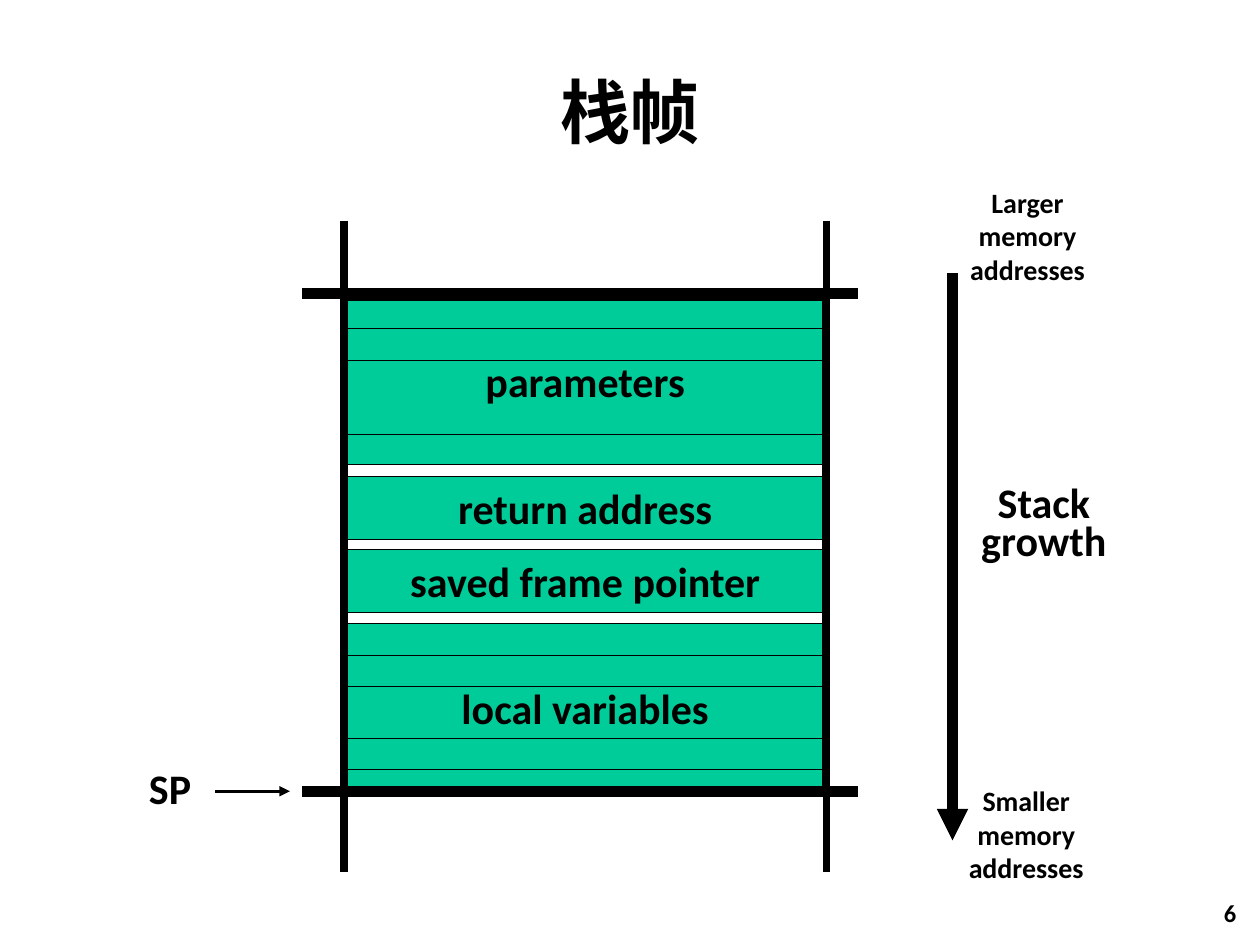
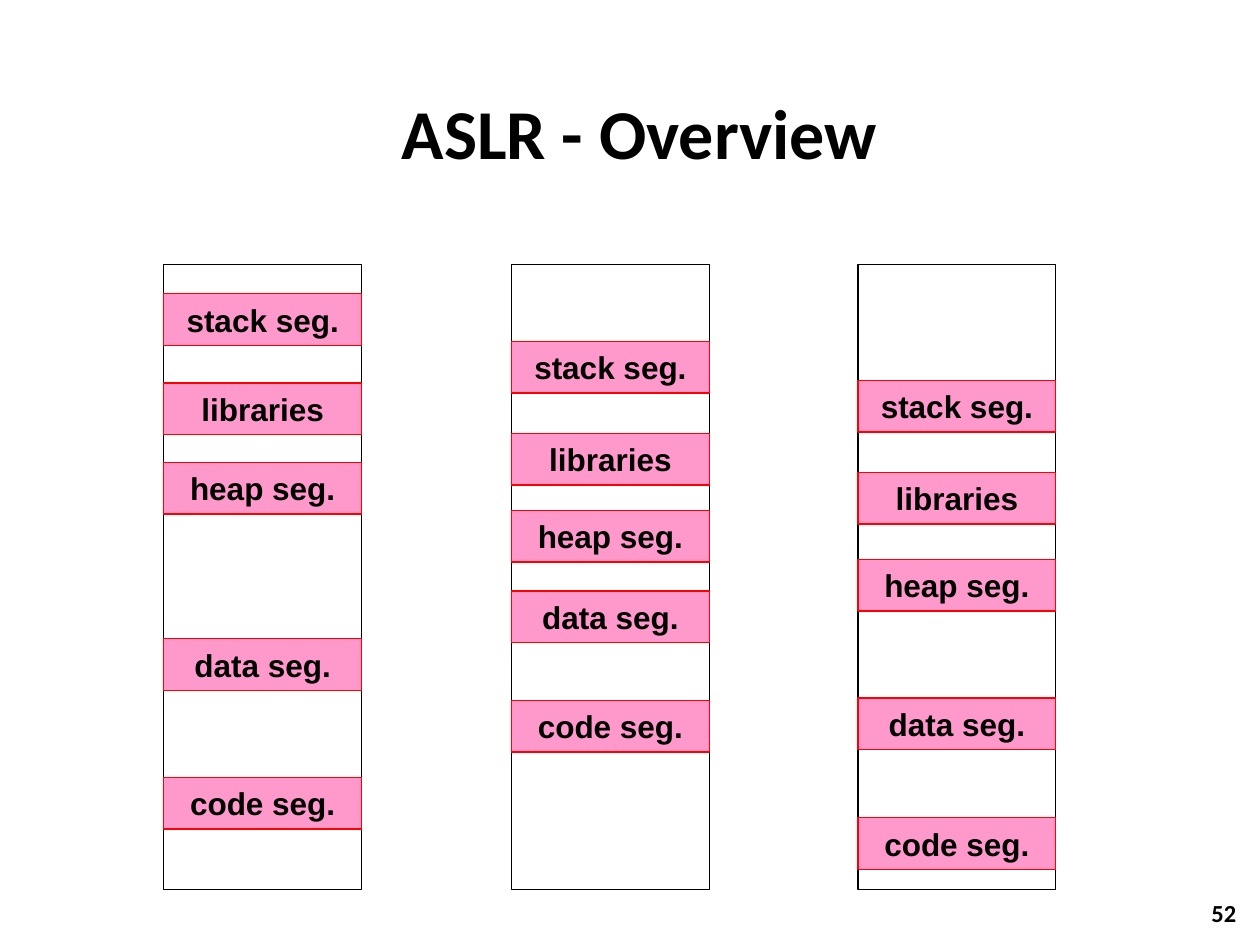
from lxml import etree
from pptx import Presentation
from pptx.dml.color import RGBColor
from pptx.enum import shapes, text
from pptx.oxml import ns
from pptx.util import Inches, Pt

BLACK = RGBColor(0x00, 0x00, 0x00)
GREEN = RGBColor(0x00, 0xCC, 0x99)
PINK = RGBColor(0xFF, 0x99, 0xCC)
RED = RGBColor(0xFF, 0x00, 0x00)
MID, TOP = text.MSO_ANCHOR.MIDDLE, text.MSO_ANCHOR.TOP
CENTER, RIGHT = text.PP_ALIGN.CENTER, text.PP_ALIGN.RIGHT


class Deck:
    """Shared style plus the slide being filled."""

    def __init__(self):
        self.prs = Presentation()
        self.prs.slide_width, self.prs.slide_height = Inches(10), Inches(7.5)
        self.slide = None

    def place(self, item, box):
        item.left, item.top, item.width, item.height = map(Inches, box)

    def letter(self, frame, lines, size, face="Calibri", align=CENTER, anchor=MID):
        frame.word_wrap = False
        frame.vertical_anchor = anchor
        for i, line in enumerate(lines):
            para = frame.add_paragraph() if i else frame.paragraphs[0]
            para.text = line
            para.alignment = align
            para.space_before = Pt(0)
            font = para.font
            font.name, font.size, font.bold = face, Pt(size), True
            font.color.rgb = BLACK

    def start(self, title, box, number):
        self.slide = self.prs.slides.add_slide(self.prs.slide_layouts[5])
        head = self.slide.shapes.title
        self.place(head, box)
        self.letter(head.text_frame, [title], 40)
        self.label([number], (7.83, 7.08, 2.08, 0.4), 14, RIGHT)

    def label(self, lines, box, size, align=CENTER):
        item = self.slide.shapes.add_textbox(*map(Inches, box))
        self.letter(item.text_frame, lines, size, align=align, anchor=TOP)
        return item

    def rect(self, box, fill=None, edge=BLACK, width=0.75):
        item = self.slide.shapes.add_shape(
            shapes.MSO_SHAPE.RECTANGLE, *map(Inches, box))
        item.shadow.inherit = False
        if fill is None:
            item.fill.background()
        else:
            item.fill.solid()
            item.fill.fore_color.rgb = fill
        item.line.color.rgb = edge
        item.line.width = Pt(width)
        return item

    def line(self, x1, y1, x2, y2, width=0.75, arrow=False):
        item = self.slide.shapes.add_connector(
            shapes.MSO_CONNECTOR.STRAIGHT, *map(Inches, (x1, y1, x2, y2)))
        item.line.color.rgb = BLACK
        item.line.width = Pt(width)
        props = item._element.spPr
        if arrow:
            etree.SubElement(props.find(ns.qn("a:ln")), ns.qn("a:tailEnd"),
                             type="triangle")
        etree.SubElement(props, ns.qn("a:effectLst"))


def frame_slide(deck):
    deck.start("栈帧", (0.75, 0.25, 8.5, 1.25), "6")
    left, right = 2.73, 6.56
    wide = right - left

    # Parts of the frame
    for name, top, high in (("parameters", 2.36, 1.33),
                            ("return address", 3.78, 0.5),
                            ("saved frame pointer", 4.36, 0.5),
                            ("local variables", 4.95, 1.33)):
        part = deck.rect((left, top, wide, high), GREEN)
        deck.letter(part.text_frame, [name], 24)

    # Stack pointer and growth arrow
    deck.label(["SP"], (1.08, 6, 0.54, 0.5), 24)
    deck.line(1.71, 6.28, 2.3, 6.28, 1.5, arrow=True)
    deck.line(7.56, 2.17, 7.56, 6.67, 6, arrow=True)

    # Word dividers, outline and heavy edges
    for y in (2.61, 2.86, 3.45, 5.2, 5.45, 5.86, 6.11):
        deck.line(left, y, right, y)
    deck.rect((left, 2.36, wide, 3.92), width=4.5)
    for y in (6.28, 2.33):
        deck.line(2.4, y, 6.81, y, 6)
    for y in (1.75, 5.8):
        for x in (left, right):
            deck.line(x, y, x, y + 1.12, 4.5)

    # Captions beside the arrow
    grow = deck.label(["Stack", "growth"], (7.68, 3.73, 1.21, 0.79), 24)
    grow.text_frame.paragraphs[1].line_spacing = Pt(22)
    for word, x, y in (("Smaller", 7.58, 6.17), ("Larger", 7.59, 1.42)):
        deck.label([f"{word}\nmemory\naddresses"], (x, y, 1.13, 0.91), 16)


def aslr_slide(deck):
    deck.start("ASLR - Overview", (0.35, 0.42, 9.45, 1.25), "52")
    names = ("stack seg.", "libraries", "heap seg.", "data seg.", "code seg.")
    runs = ((2.33, 3.04, 3.67, 5.07, 6.17),
            (2.71, 3.44, 4.05, 4.69, 5.56),
            (3.02, 3.75, 4.44, 5.54, 6.49))

    # One memory column per run, each with its own segment offsets
    for x, tops in zip((1.3, 4.06, 6.81), runs):
        deck.rect((x, 2.1, 1.57, 4.96))
        for name, top in zip(names, tops):
            seg = deck.rect((x, top, 1.57, 0.41), PINK, RED)
            deck.letter(seg.text_frame, [name], 18, "Arial")


def main():
    deck = Deck()
    frame_slide(deck)
    aslr_slide(deck)
    deck.prs.save("out.pptx")


if __name__ == "__main__":
    main()
